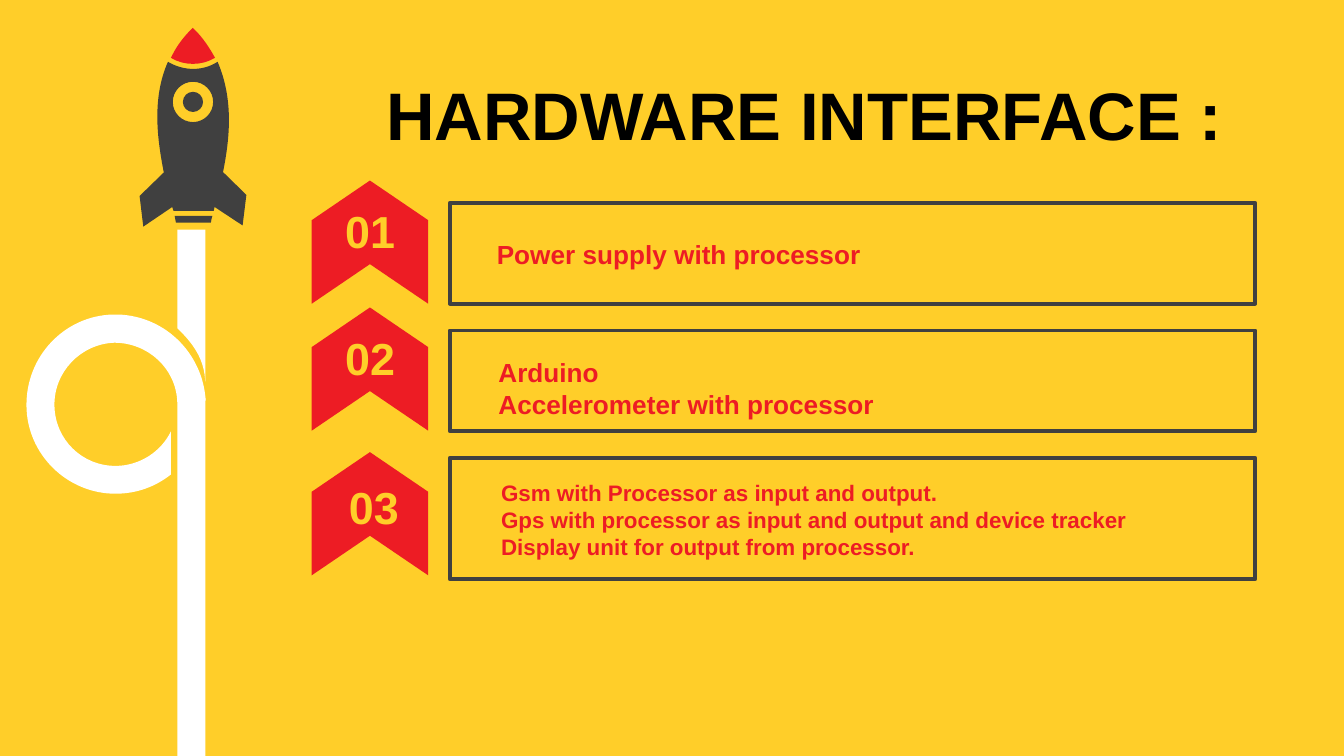
from pptx import Presentation
from pptx.dml.color import RGBColor
from pptx.enum import shapes, text
from pptx.oxml.ns import qn
from pptx.util import Pt

COLORS = {
    "yellow": "FFCE29", "red": "ED1C24", "dark": "404040",
    "white": "FFFFFF", "black": "000000",
}
FONT = "Arial"
KIND = shapes.MSO_SHAPE

presentation = Presentation()
presentation.slide_width, presentation.slide_height = Pt(720), Pt(405)
slide = presentation.slides.add_slide(presentation.slide_layouts[5])
slide.background.fill.solid()
slide.background.fill.fore_color.rgb = RGBColor.from_string(COLORS["yellow"])


def write(shape, lines, size, color, align, anchor=text.MSO_ANCHOR.TOP):
    """Fill a shape with one bold paragraph per line."""
    frame = shape.text_frame
    frame.word_wrap = True
    frame.vertical_anchor = anchor
    for index, line in enumerate(lines):
        paragraph = frame.add_paragraph() if index else frame.paragraphs[0]
        paragraph.alignment = align
        run = paragraph.add_run()
        run.text = line
        run.font.name, run.font.size, run.font.bold = FONT, Pt(size), True
        run.font.color.rgb = RGBColor.from_string(COLORS[color])


def draw_outline(contours, color):
    """Draw closed contours; a 6-tuple is a cubic curve, a pair a corner."""
    builder = None
    for start, *parts in contours:
        if builder is None:
            builder = slide.shapes.build_freeform(Pt(start[0]), Pt(start[1]))
        else:
            builder.move_to(Pt(start[0]), Pt(start[1]))
        builder.add_line_segments(
            [(Pt(part[i]), Pt(part[i + 1])) for part in parts
             for i in range(0, len(part), 2)], close=True)
    shape = builder.convert_to_shape()
    # Join each three segments of a curve into one cubic segment
    segments = iter(list(shape.element.iter(qn("a:lnTo"))))
    for contour in contours:
        for part in contour[1:]:
            segment = next(segments)
            if len(part) == 6:
                segment.tag = qn("a:cubicBezTo")
                for extra in (next(segments), next(segments)):
                    segment.append(extra[0])
                    extra.getparent().remove(extra)
    shape.shadow.inherit = False
    shape.fill.solid()
    shape.fill.fore_color.rgb = RGBColor.from_string(COLORS[color])
    shape.line.fill.background()


# Smoke trail: open ring and upper ribbon
draw_outline([[(60.5, 168.5), (87.1, 167.8, 108.7, 188.6, 110.2, 214.6), (95, 215.3),
               (94.3, 197.3, 79.2, 183.6, 61.2, 183.6),
               (43.2, 184.3, 28.8, 199.4, 29.2, 217.4),
               (29.5, 235.4, 43.9, 249.6, 61.9, 249.6),
               (74.9, 249.6, 86.4, 241.9, 91.6, 231.1), (91.6, 254.2),
               (83.5, 260.6, 73.4, 264.5, 61.9, 264.5),
               (36, 264.5, 14.4, 243.4, 14.2, 217.4),
               (13.9, 190.8, 34.6, 169.2, 60.5, 168.5)]], "white")
draw_outline([[(95, 123), (110, 123), (110, 204.5),
               (109.4, 192.2, 103.7, 184.3, 95, 175.8)]], "white")

# Title
title = slide.shapes.title
title.left, title.top, title.width, title.height = Pt(70.8), Pt(38), Pt(720), Pt(45.5)
write(title, ["HARDWARE INTERFACE :"], 36, "black",
      text.PP_ALIGN.CENTER, text.MSO_ANCHOR.MIDDLE)

# Rocket: nozzle, body with a round window, nose
nozzle = [(93.6, 115.7), (113.8, 115.7), (113.4, 117, 113.2, 118, 113, 119.3),
          (94.3, 119.3)]
body = [(90, 33.1), (98.6, 38.2, 108.7, 38.2, 116.6, 33.1),
        (125.3, 53.3, 123.1, 74.2, 119.5, 92.2), (132, 104.4), (130, 120.8),
        (115, 110.9), (114.5, 113), (93, 113), (92.3, 110.9), (76.8, 121.4),
        (74.8, 105), (87.8, 92.4), (84.2, 74.2, 81.4, 52.6, 90, 33.1)]
window = []
x, y = 103.4, 54.6
for radius in (5.4, 10.8):
    k = 0.55 * radius
    window.append([
        (x, y - radius),
        (x + k, y - radius, x + radius, y - k, x + radius, y),
        (x + radius, y + k, x + k, y + radius, x, y + radius),
        (x - k, y + radius, x - radius, y + k, x - radius, y),
        (x - radius, y - k, x - k, y - radius, x, y - radius)])
draw_outline([nozzle, *window, body], "dark")

stem = slide.shapes.add_shape(KIND.RECTANGLE, Pt(95), Pt(213), Pt(15), Pt(192))
stem.shadow.inherit = False
stem.fill.solid()
stem.fill.fore_color.rgb = RGBColor.from_string(COLORS["white"])
stem.line.fill.background()

draw_outline([[(103.3, 14.9), (108.7, 20, 112.3, 25.8, 115.2, 31),
               (108, 35.3, 98.6, 35.3, 91.6, 31),
               (94.3, 25.2, 97.9, 20.2, 103.3, 14.9)]], "red")

# Numbered rows: frame height, text box (left, top, width, height), top inset,
# font size, chevron top, number place, lines
rows = [
    (54, (257.8, 123, 397, 25.2), 3.6, 14, 98.5, (176.5, 105.8),
     ["Power supply with processor"]),
    (54, (257.8, 185.5, 364, 43.2), 3.6, 14, 166.5, (176.5, 173.6),
     ["Arduino", "Accelerometer with processor"]),
    (65, (258, 236, 397, 68.4), 17.4, 12, 244, (178.5, 253.4),
     ["Gsm with Processor as input and output.",
      "Gps with processor as input and output and device tracker",
      "Display unit for output from processor."]),
]
for index, row in enumerate(rows):
    height, place, inset, size, chevron_top, number_place, lines = row
    frame = slide.shapes.add_shape(
        KIND.RECTANGLE, Pt(241), Pt(108.7 + 68.3 * index), Pt(431.5), Pt(height))
    frame.shadow.inherit = False
    frame.fill.background()
    frame.line.color.rgb = RGBColor.from_string(COLORS["dark"])
    frame.line.width = Pt(2)

    label = slide.shapes.add_shape(KIND.ROUND_2_SAME_RECTANGLE, *map(Pt, place))
    label.shadow.inherit = False
    label.fill.background()
    label.line.fill.background()
    label.text_frame.margin_top = Pt(inset)
    write(label, lines, size, "red", text.PP_ALIGN.LEFT)

    chevron = slide.shapes.add_shape(
        KIND.CHEVRON, Pt(165.2), Pt(chevron_top), Pt(66), Pt(62.4))
    chevron.adjustments[0] = 0.34
    chevron.rotation = 270
    chevron.shadow.inherit = False
    chevron.fill.solid()
    chevron.fill.fore_color.rgb = RGBColor.from_string(COLORS["red"])
    chevron.line.fill.background()

    number = slide.shapes.add_textbox(*map(Pt, number_place), Pt(43.5), Pt(36))
    write(number, [f"{index + 1:02}"], 24, "yellow", text.PP_ALIGN.CENTER)

presentation.save("out.pptx")
